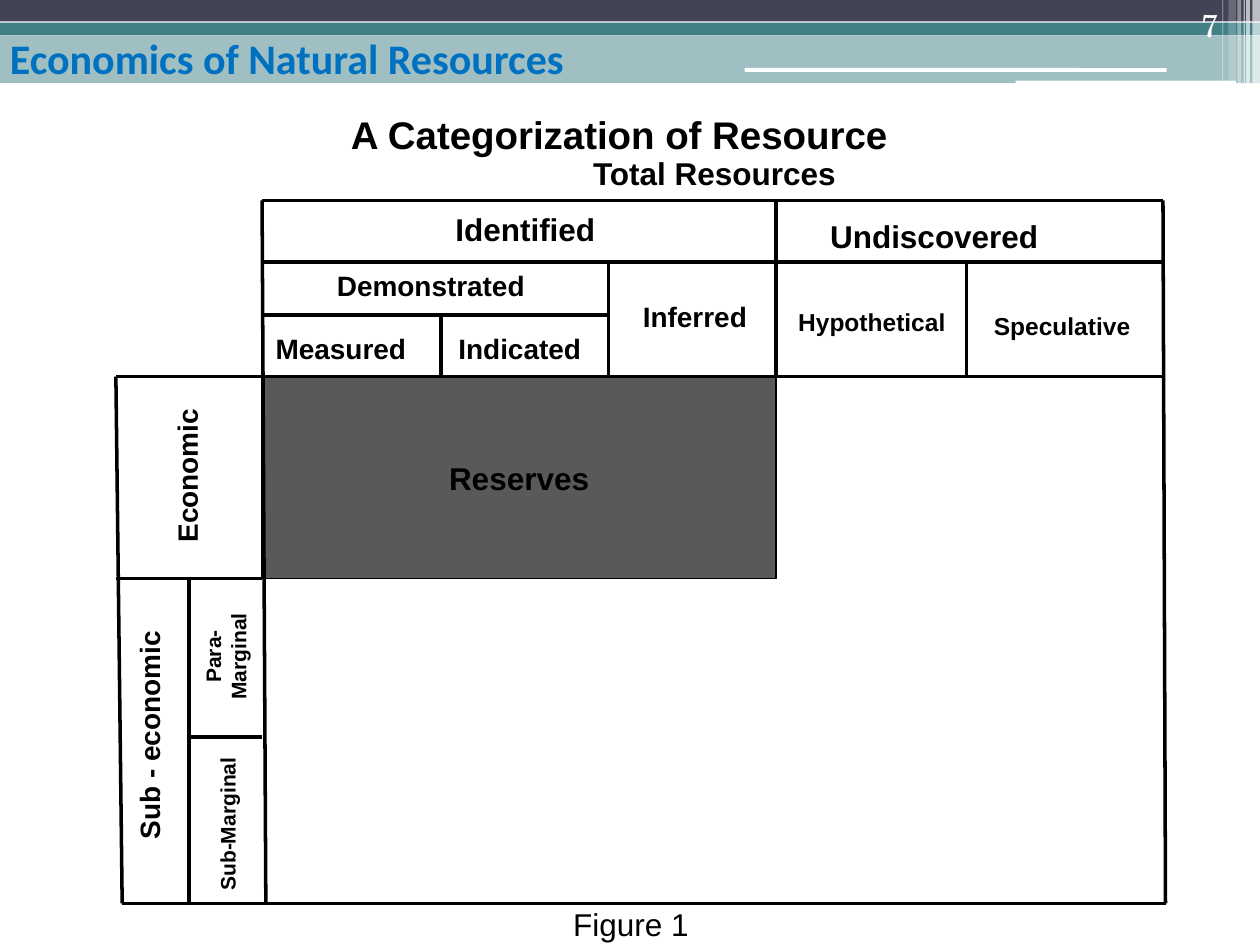
from dataclasses import dataclass

from lxml import etree
from pptx import Presentation
from pptx import util as u
from pptx.dml.color import RGBColor
from pptx.enum import shapes, text
from pptx.oxml.ns import qn

COLORS = {
    "navy": "424456", "teal": "438086", "white": "FFFFFF", "black": "000000",
    "heading": "0070C0", "reserves": "595959",
}

# Grid of the diagram, in inches
COLUMNS = {"edge": 0.92, "foot": 0.97, "sub": 1.5, "body": 2.08, "body foot": 2.11,
           "indicated": 3.5, "inferred": 4.83, "undiscovered": 6.16,
           "speculative": 7.67, "right": 9.23, "right foot": 9.25}
ROWS = {"top": 1.59, "groups": 2.08, "kinds": 2.5, "economic": 2.99,
        "para": 4.59, "submarginal": 5.85, "bottom": 7.17}


@dataclass
class Bar:
    left: float
    top: float
    width: float
    height: float
    color: str
    opacity: int = 100
    rounded: bool = False


@dataclass
class Rule:
    start_column: str
    start_row: str
    end_column: str
    end_row: str


@dataclass
class Label:
    words: str
    left: float
    top: float
    width: float
    height: float
    size: int
    rotation: int = 0
    bold: bool = True
    color: str = "black"
    font: str = "Arial"
    align: text.PP_ALIGN = text.PP_ALIGN.CENTER
    anchor: text.MSO_ANCHOR = text.MSO_ANCHOR.TOP


BARS = [
    Bar(0, 0.28, 10, 0.38, "teal", 50),
    Bar(0, 0, 10, 0.17, "navy"),
    Bar(0, 0.18, 10, 0.1, "teal"),
    Bar(5.91, 0.54, 3.35, 0.03, "white", rounded=True),
    Bar(8.06, 0.64, 1.75, 0.04, "white", rounded=True),
    Bar(9.94, 0, 0.06, 0.68, "white", 65),
    Bar(9.89, 0, 0.03, 0.68, "white", 65),
    Bar(9.87, 0, 0.01, 0.68, "white", 60),
    Bar(9.82, 0, 0.03, 0.68, "white", 40),
    Bar(9.75, 0, 0.06, 0.64, "white", 20),
    Bar(9.7, 0, 0.01, 0.64, "white", 30),
]

RULES = [
    # Outer frame
    Rule("body", "top", "right", "top"),
    Rule("right", "top", "right foot", "bottom"),
    Rule("foot", "bottom", "right foot", "bottom"),
    Rule("edge", "economic", "foot", "bottom"),
    Rule("body", "top", "body foot", "bottom"),
    # Column headings
    Rule("body", "groups", "right", "groups"),
    Rule("body", "kinds", "inferred", "kinds"),
    Rule("edge", "economic", "right", "economic"),
    Rule("indicated", "kinds", "indicated", "economic"),
    Rule("inferred", "groups", "inferred", "economic"),
    Rule("undiscovered", "top", "undiscovered", "economic"),
    Rule("speculative", "groups", "speculative", "economic"),
    # Row headings
    Rule("edge", "para", "body", "para"),
    Rule("sub", "para", "sub", "bottom"),
    Rule("sub", "submarginal", "body", "submarginal"),
]

TITLE = Label("A Categorization of Resource", 0, 0.83, 9.83, 0.47, 22)
RESERVES = Label("Reserves", COLUMNS["body"], ROWS["economic"],
                 COLUMNS["undiscovered"] - COLUMNS["body"],
                 ROWS["para"] - ROWS["economic"], 18, anchor=text.MSO_ANCHOR.MIDDLE)
LABELS = [
    Label("Economics of Natural Resources", -0.02, 0.29, 7.1, 0.34, 24, color="heading",
          font="Calibri", align=text.PP_ALIGN.LEFT, anchor=text.MSO_ANCHOR.MIDDLE),
    Label("7", 8.94, 0, 0.83, 0.4, 18, bold=False, color="white", font="TeX Gyre Schola",
          align=text.PP_ALIGN.RIGHT, anchor=text.MSO_ANCHOR.BOTTOM),
    Label("Total Resources", 4.42, 1.17, 2.5, 0.4, 18),
    Label("Identified", 2.92, 1.62, 2.5, 0.4, 18),
    Label("Undiscovered", 6.33, 1.67, 2.17, 0.4, 18),
    Label("Demonstrated", 2.17, 2.08, 2.5, 0.37, 16),
    Label("Measured", 2.08, 2.58, 1.25, 0.37, 16),
    Label("Indicated", 3.5, 2.58, 1.25, 0.37, 16),
    Label("Inferred", 4.89, 2.33, 1.25, 0.37, 16),
    Label("Hypothetical", 6.17, 2.39, 1.5, 0.34, 14),
    Label("Speculative", 7.68, 2.42, 1.5, 0.34, 14),
    Label("Economic", 0.82, 3.59, 1.33, 0.37, 16, 270),
    Label("Sub - economic", 0.1, 5.65, 2.17, 0.37, 16, 270),
    Label("Sub-Marginal", 1.14, 6.39, 1.33, 0.3, 12, 270),
    Label("Para-Marginal", 1.25, 4.96, 1.08, 0.5, 12, 270),
    Label("Figure 1", 4.45, 7.13, 1.58, 0.4, 18, bold=False, align=text.PP_ALIGN.LEFT),
]


def rgb(name: str) -> RGBColor:
    return RGBColor.from_string(COLORS[name])


def frame(item) -> list:
    return [u.Inches(value) for value in (item.left, item.top, item.width, item.height)]


def draw_bar(slide, bar: Bar):
    kind = shapes.MSO_SHAPE.ROUNDED_RECTANGLE if bar.rounded else shapes.MSO_SHAPE.RECTANGLE
    shape = slide.shapes.add_shape(kind, *frame(bar))
    shape.shadow.inherit = False
    shape.line.fill.background()
    shape.fill.solid()
    shape.fill.fore_color.rgb = rgb(bar.color)
    if bar.opacity < 100:
        color = shape.fill._xPr.find(qn("a:solidFill"))[0]
        etree.SubElement(color, qn("a:alpha")).set("val", str(bar.opacity * 1000))
    return shape


def draw_rule(slide, rule: Rule) -> None:
    connector = slide.shapes.add_connector(
        shapes.MSO_CONNECTOR.STRAIGHT,
        u.Inches(COLUMNS[rule.start_column]), u.Inches(ROWS[rule.start_row]),
        u.Inches(COLUMNS[rule.end_column]), u.Inches(ROWS[rule.end_row]))
    connector.line.color.rgb = rgb("black")
    connector.line.width = u.Pt(2)
    etree.SubElement(connector._element.spPr, qn("a:effectLst"))


def write(shape, label: Label) -> None:
    text_frame = shape.text_frame
    text_frame.text = label.words
    text_frame.word_wrap = True
    text_frame.auto_size = text.MSO_AUTO_SIZE.NONE
    text_frame.vertical_anchor = label.anchor
    paragraph = text_frame.paragraphs[0]
    paragraph.alignment = label.align
    font = paragraph.runs[0].font
    font.name, font.size, font.bold = label.font, u.Pt(label.size), label.bold
    font.color.rgb = rgb(label.color)


def draw_label(slide, label: Label) -> None:
    shape = slide.shapes.add_textbox(*frame(label))
    shape.rotation = label.rotation
    write(shape, label)


def main() -> None:
    presentation = Presentation()
    presentation.slide_width, presentation.slide_height = u.Inches(10), u.Inches(7.5)
    slide = presentation.slides.add_slide(presentation.slide_layouts[5])

    # Title
    title = slide.shapes.title
    title.left, title.top, title.width, title.height = frame(TITLE)
    write(title, TITLE)

    # Header band
    for bar in BARS:
        draw_bar(slide, bar)

    # Reserves block
    block = draw_bar(slide, Bar(RESERVES.left, RESERVES.top, RESERVES.width,
                                RESERVES.height, "reserves"))
    block.line.color.rgb = rgb("black")
    block.line.width = u.Pt(0.75)
    write(block, RESERVES)

    # Grid lines and labels
    for rule in RULES:
        draw_rule(slide, rule)
    for label in LABELS:
        draw_label(slide, label)

    presentation.save("out.pptx")


if __name__ == "__main__":
    main()
